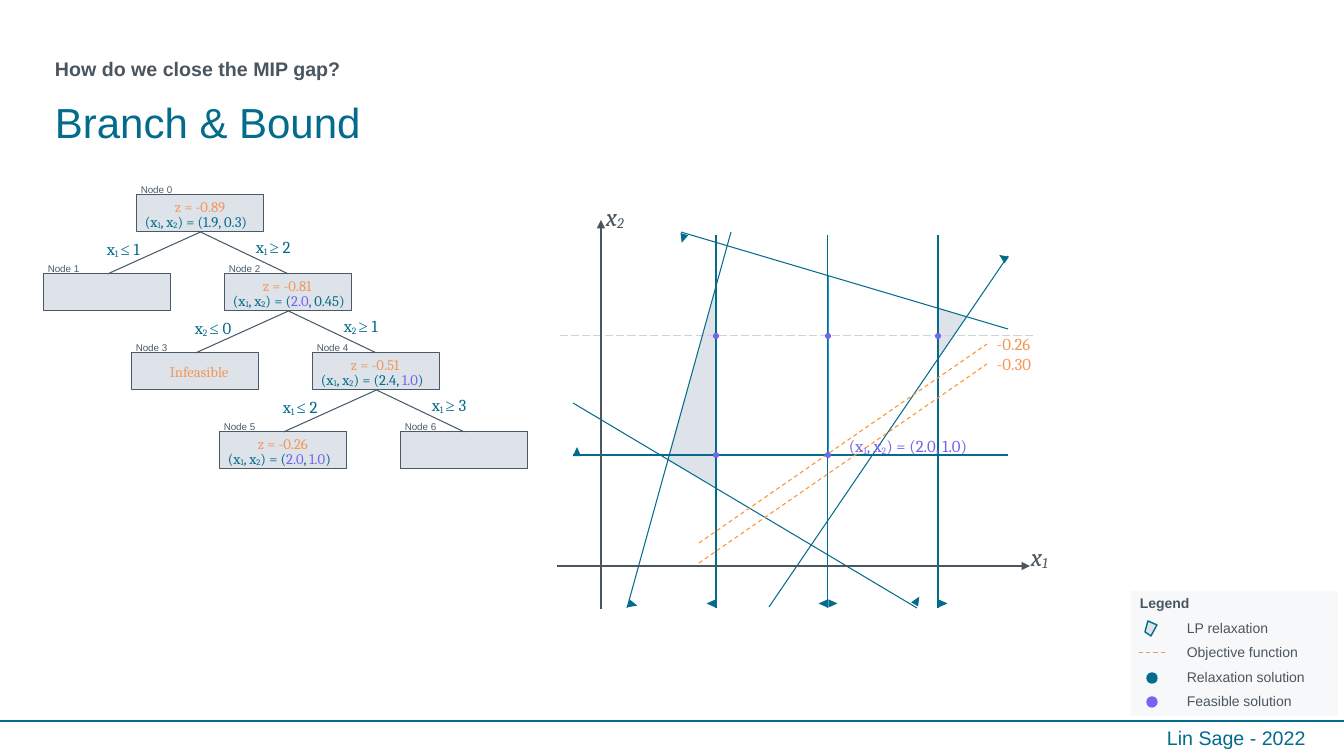
from dataclasses import dataclass

import pptx
import pptx.dml.color
import pptx.enum.dml
import pptx.enum.shapes
import pptx.enum.text
import pptx.oxml.ns
import pptx.oxml.xmlchemy
import pptx.util


@dataclass(frozen=True)
class Theme:
    teal: str = "036B8B"
    blue: str = "189CCF"
    purple: str = "7365EE"
    orange: str = "F4965A"
    objective: str = "FF912D"
    slate: str = "485A69"
    grey: str = "49565F"
    pale: str = "DDE3E9"
    guide: str = "C5D6DC"
    sans: str = "Arial"
    math: str = "Cambria"
    sign: str = "Times New Roman"
    title: float = 30
    heading: float = 14
    axis: float = 18
    label: float = 12
    value: float = 10.5
    legend: float = 10
    node: float = 7


T = Theme()
Shape = pptx.enum.shapes.MSO_SHAPE
Dash = pptx.enum.dml.MSO_LINE
SUB = {"sub": True}
FEASIBLE = {"color": T.purple}
VECTOR = [("(x", {}), ("1", SUB), (", x", {}), ("2", SUB), (") = (", {})]

# Content: lengths are px, 1344 x 756 on the slide
TITLE = "Branch & Bound"
QUESTION = "How do we close the MIP gap?"
FOOTER = "Lin Sage - 2022"

# node: (parent, side, z line, values of x1 and x2 with their styles)
NODES = [
    (None, None, "z = -0.89", [("1.9", {}), ("0.3", {})]),
    (0, "left", None, None),
    (0, "right", "z = -0.81", [("2.0", FEASIBLE), ("0.45", {})]),
    (2, "left", "Infeasible", None),
    (2, "right", "z = -0.51", [("2.4", {}), ("1.0", FEASIBLE)]),
    (4, "left", "z = -0.26", [("2.0", FEASIBLE), ("1.0", FEASIBLE)]),
    (4, "right", None, None),
]
# branch into each node: (index of x, sign, bound)
BRANCHES = {1: ("1", "≤", "1"), 2: ("1", "≥", "2"), 3: ("2", "≤", "0"),
            4: ("2", "≥", "1"), 5: ("1", "≤", "2"), 6: ("1", "≥", "3")}
ROOT = (137, 195)
NODE_W, NODE_H, LEVEL = 127, 37, 79
CHILD_DX = {"left": -93, "right": 88}
BRANCH_LABEL = {"left": (-40, 39), "right": (109, 37)}

COLUMNS, ROWS = (716, 828, 938), (455, 336)
REGIONS = [[(938, 308), (967, 317), (939, 358)],
           [(716, 289), (716, 487), (667, 460)]]
CONSTRAINTS = [(627, 608, 731, 232), (1008, 329, 681, 232),
               (1008, 256, 769, 607), (573, 403, 917, 608)]
# centre and rotation of each half-plane marker
MARKERS = [(917, 600, 31), (633, 604, 105), (683, 238, 197),
           (1003, 257, 304), (833, 603, 90), (711, 603, 270),
           (943, 603, 90), (823, 603, 270), (577, 451, 0)]
POINTS = [(x, y) for y in ROWS for x in COLUMNS if (x, y) != (938, 455)]
OBJECTIVES = [("-0.26", 0), ("-0.30", 20)]
AXES = [((557, 566, 1030, 566), "1", (1021, 536)),
        ((601, 609, 601, 220), "2", (596, 196))]
LEGEND = ["LP relaxation", "Objective function", "Relaxation solution", "Feasible solution"]
LEGEND_PATCH = [(1148, 621), (1157, 625), (1151, 636), (1145, 632)]

SCALE = 914400 / 100.8


def px(n):
    return pptx.util.Emu(round(n * SCALE))


def rgb(c):
    return pptx.dml.color.RGBColor.from_string(c)


def element(tag, **attributes):
    el = pptx.oxml.xmlchemy.OxmlElement(tag)
    for key, value in attributes.items():
        el.set(key, value)
    return el


prs = pptx.Presentation()
prs.slide_width, prs.slide_height = px(1344), px(756)
s = prs.slides.add_slide(prs.slide_layouts[6])


def paint(sp, fill, line=None, weight=0.75):
    sp.shadow.inherit = False
    sp.fill.solid()
    sp.fill.fore_color.rgb = rgb(fill)
    if line:
        sp.line.color.rgb = rgb(line)
        sp.line.width = pptx.util.Pt(weight)
    else:
        sp.line.fill.background()
    return sp


def shape(kind, x, y, w, h, *style):
    return paint(s.shapes.add_shape(kind, px(x), px(y), px(w), px(h)), *style)


def polygon(points, *style):
    fb = s.shapes.build_freeform(*points[0], scale=SCALE)
    fb.add_line_segments(points[1:], close=True)
    return paint(fb.convert_to_shape(), *style)


def line(x1, y1, x2, y2, color=T.teal, weight=0.75, dash=None, arrow=False):
    c = s.shapes.add_connector(pptx.enum.shapes.MSO_CONNECTOR.STRAIGHT,
                               px(x1), px(y1), px(x2), px(y2))
    c.line.color.rgb = rgb(color)
    c.line.width = pptx.util.Pt(weight)
    if dash:
        c.line.dash_style = dash
    spPr = c._element.spPr
    if arrow:
        spPr.find(pptx.oxml.ns.qn("a:ln")).append(element("a:tailEnd", type="triangle"))
    spPr.append(element("a:effectLst"))
    return c


def text(x, y, w, h, runs, size, color, font=T.sans, bold=False, italic=False):
    """Add a one-line text box; runs is a string or (text, style) pairs."""
    tf = s.shapes.add_textbox(px(x), px(y), px(w), px(h)).text_frame
    tf.word_wrap = True
    p = tf.paragraphs[0]
    for words, style in [(runs, {})] if isinstance(runs, str) else runs:
        r = p.add_run()
        r.text = words
        r.font.size = pptx.util.Pt(size)
        r.font.name = style.get("font", font)
        r.font.bold, r.font.italic = bold, italic
        r.font.color.rgb = rgb(style.get("color", color))
        if style.get("sub"):
            r._r.get_or_add_rPr().set("baseline", "-8000")
    return tf


def draw_graph():
    line(828, 275, 828, 452, T.blue, 1.5)
    for region in REGIONS:
        polygon(region, T.pale)
    line(1008, ROWS[0], 573, ROWS[0])
    line(1033, ROWS[1], 560, ROWS[1], T.guide, dash=Dash.LONG_DASH)
    for x in COLUMNS:
        line(x, 235, x, 608)
    for ends in CONSTRAINTS:
        line(*ends)
    for x, y, turn in MARKERS:
        shape(Shape.ISOSCELES_TRIANGLE, x - 4, y - 4, 8, 9, T.teal).rotation = turn
    for value, dy in OBJECTIVES:
        line(699, 543 + dy, 987, 344 + dy, T.objective, dash=Dash.DASH)
        text(987, 329 + dy, 60, 27, value, T.label, T.orange, T.math)
    for x, y in POINTS:
        shape(Shape.OVAL, x - 3, y - 3, 6, 6, T.purple)
    for ends, index, (x, y) in AXES:
        line(*ends, T.grey, arrow=True)
        text(x, y, 50, 35, [("x", {}), (index, SUB)], T.axis, T.grey, T.math, italic=True)
    text(839, 431, 160, 27, VECTOR + [("2.0, 1.0)", {})], T.label, T.purple, T.math)


def draw_tree():
    boxes, corners = [], []
    for i, (parent, side, z, values) in enumerate(NODES):
        x, y = ROOT
        if side:
            px0, py0 = corners[parent]
            x, y = px0 + CHILD_DX[side], py0 + LEVEL
        box = shape(Shape.RECTANGLE, x, y, NODE_W, NODE_H, T.pale, T.slate)
        boxes.append(box)
        corners.append((x, y))
        if side:
            edge = line(0, 0, 1, 1, T.slate)
            edge.begin_connect(boxes[parent], 2)
            edge.end_connect(box, 0)
            dx, dy = BRANCH_LABEL[side]
            index, sign, bound = BRANCHES[i]
            text(px0 + dx, py0 + dy, 70, 28,
                 [("x", {}), (index + " ", SUB), (sign, {"font": T.sign}), (" " + bound, {})],
                 T.label, T.teal, T.math)
        name = text(x - 17, y - 16, 73, 22, f"Node {i}", T.node, T.slate)
        name.paragraphs[0].alignment = pptx.enum.text.PP_ALIGN.CENTER
        if z:
            text(x + 28, y + (-2 if values else 5), 90, 24, z, T.value, T.orange, T.math)
        if values:
            x1, x2 = values
            text(x - 2, y + 13, 150, 24, VECTOR + [x1, (", ", {}), x2, (")", {})],
                 T.value, T.teal, T.math)


def draw_legend():
    panel = shape(Shape.RECTANGLE, 1131, 591, 207, 125, T.pale)
    fill = panel._element.spPr.find(".//" + pptx.oxml.ns.qn("a:srgbClr"))
    fill.append(element("a:alpha", val="22000"))
    text(1130, 590, 186, 27, "Legend", T.legend, T.grey, bold=True)
    tops = [615 + i * 49 // 2 for i in range(len(LEGEND))]
    for top, label in zip(tops, LEGEND):
        text(1177, top, 160, 27, label, T.legend, T.grey)
    polygon(LEGEND_PATCH, T.pale, T.teal, 1)
    line(1139, tops[1] + 14, 1167, tops[1] + 14, T.orange, dash=Dash.DASH)
    for top, color in zip(tops[2:], (T.teal, T.purple)):
        shape(Shape.OVAL, 1147, top + 9, 10, 10, color, color, 1)


def draw_frame():
    tf = text(45, 91, 1159, 67, TITLE, T.title, T.teal)
    tf.vertical_anchor = pptx.enum.text.MSO_ANCHOR.MIDDLE
    tf.paragraphs[0].line_spacing = 0.9
    tf = text(45, 55, 608, 25, QUESTION, T.heading, T.grey, bold=True)
    tf.paragraphs[0].line_spacing = 0.9
    line(0, 721, 1344, 721)
    text(1157, 721, 171, 34, FOOTER, T.heading, T.teal)


draw_graph()
draw_legend()
draw_frame()
draw_tree()
prs.save("out.pptx")
